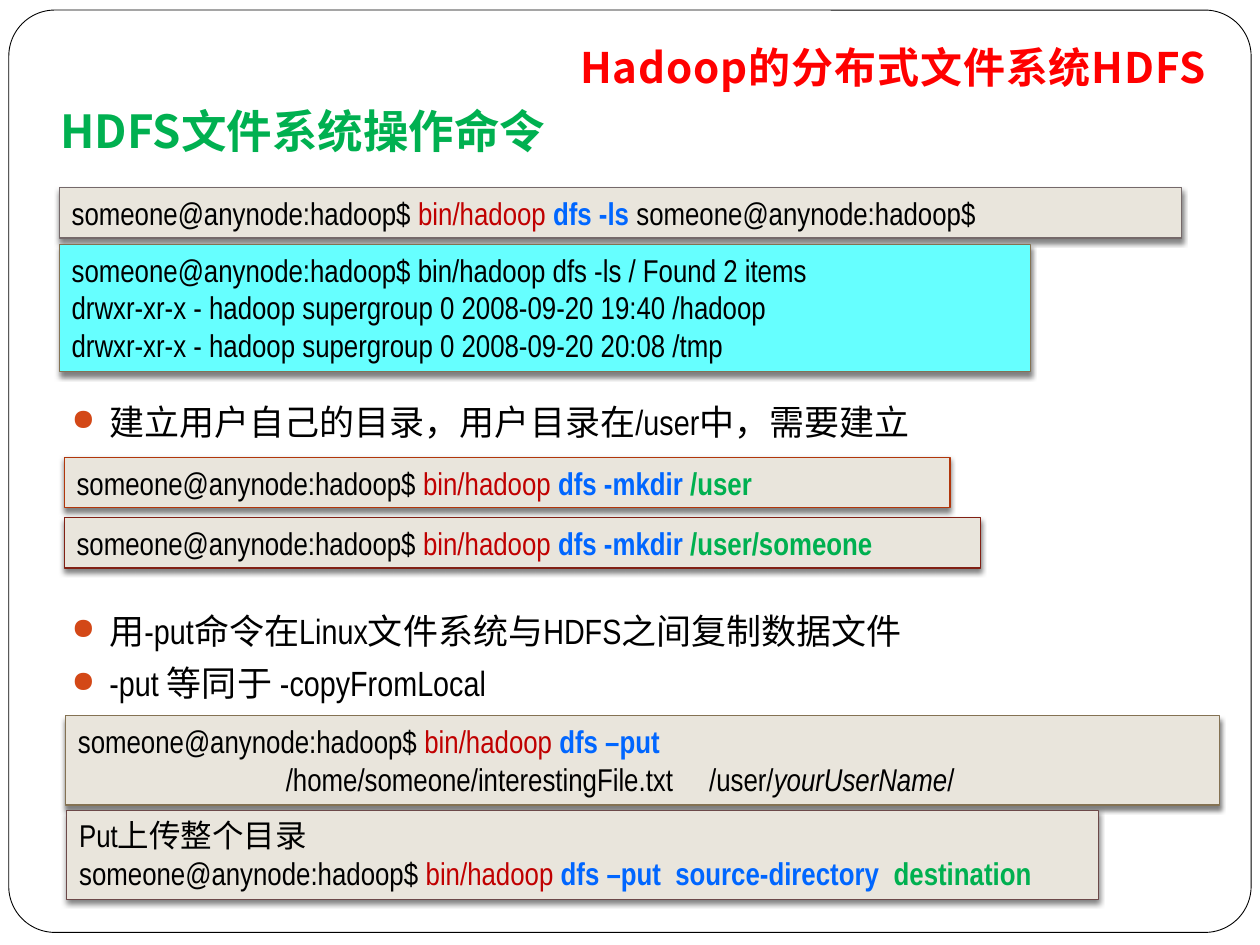
from lxml import etree
from pptx import Presentation
from pptx.dml.color import RGBColor as RGB
from pptx.enum.shapes import MSO_SHAPE as Shape
from pptx.enum.text import MSO_ANCHOR as Anchor, MSO_AUTO_SIZE as Auto, PP_ALIGN as Align
from pptx.oxml.ns import qn
from pptx.util import Inches, Pt

BLACK, WHITE = RGB(0, 0, 0), RGB(255, 255, 255)
RED, GREEN = RGB(0xFF, 0, 0), RGB(0, 0xB0, 0x50)
CRIMSON, BLUE = RGB(0xC0, 0, 0), RGB(0, 0x66, 0xFF)
SAND, CYAN = RGB(0xE9, 0xE5, 0xDC), RGB(0x66, 0xFF, 0xFF)
ORANGE = RGB(0xD3, 0x48, 0x17)
GRAY, OLIVE, PLUM = RGB(0x75, 0x69, 0x6A), RGB(0x84, 0x72, 0x53), RGB(0x6C, 0x49, 0x49)
RUST, MAROON = RGB(0xB1, 0x36, 0x0B), RGB(0x81, 0x20, 0x14)

NARROW, SANS = "Arial Narrow", "Noto Sans CJK SC"
PROMPT = "someone@anynode:hadoop$ "


def sub(node, tag, **attrs):
    child = etree.SubElement(node, qn(tag))
    for key, val in attrs.items():
        child.set(key, str(val))
    return child


def style(para, name, size, color, bold=False, spc=0):
    font = para.font
    font.name, font.size, font.bold = name, Pt(size), bold
    font.color.rgb = color
    props = para._p.get_or_add_pPr().find(qn("a:defRPr"))
    sub(props, "a:ea", typeface=SANS)
    if spc:
        props.set("spc", str(spc))


def write(para, runs):
    """Add runs given as (text, colour, bold, italic), all but text optional."""
    for text, *look in runs:
        run = para.add_run()
        run.text = text
        color, bold, slant = look + [None, False, False][len(look):]
        if color is not None:
            run.font.color.rgb = color
        if bold:
            run.font.bold = True
        if slant:
            run.font.italic = True


def next_para(frame, index):
    return frame.add_paragraph() if index else frame.paragraphs[0]


def add_text(slide, x, y, w, h):
    frame = slide.shapes.add_textbox(*map(Inches, (x, y, w, h))).text_frame
    frame.word_wrap = True
    return frame


def add_bullets(slide, y, h, lines):
    frame = add_text(slide, 0.47, y, 9, h)
    for i, line in enumerate(lines):
        para = next_para(frame, i)
        props = para._p.get_or_add_pPr()
        props.set("marL", str(Inches(0.3)))
        props.set("indent", str(-Inches(0.3)))
        sub(sub(props, "a:buClr"), "a:srgbClr", val=ORANGE)
        sub(props, "a:buSzPct", val=85000)
        sub(props, "a:buChar", char="●")
        if i:
            para.space_before = Pt(5.8)
        style(para, NARROW, 20, BLACK)
        write(para, [(line,)])


def add_shade(shape):
    effects = sub(shape._element.spPr, "a:effectLst")
    shade = sub(effects, "a:outerShdw", blurRad=Pt(3), dist=Pt(2),
                dir=90 * 60000, rotWithShape=0)
    sub(sub(shade, "a:srgbClr", val=BLACK), "a:alpha", val=50000)


def add_code(slide, at, edge, lines, fill=SAND, tabs=()):
    box = slide.shapes.add_shape(Shape.RECTANGLE, *map(Inches, at))
    box.fill.solid()
    box.fill.fore_color.rgb = fill
    box.line.color.rgb = edge
    box.line.width = Pt(0.75)
    add_shade(box)
    frame = box.text_frame
    frame.word_wrap = True
    frame.auto_size = Auto.SHAPE_TO_FIT_TEXT
    frame.vertical_anchor = Anchor.TOP
    for i, runs in enumerate(lines):
        para = next_para(frame, i)
        para.alignment = Align.LEFT
        if tabs:
            stops = sub(para._p.get_or_add_pPr(), "a:tabLst")
            for pos in tabs:
                sub(stops, "a:tab", pos=Inches(pos), algn="l")
        style(para, NARROW, 18, BLACK)
        write(para, runs)


def command(verb, *rest):
    return [(PROMPT,), ("bin/hadoop ", CRIMSON), (verb, BLUE, True), *rest]


def add_frame(slide):
    box = slide.shapes.add_shape(Shape.ROUNDED_RECTANGLE,
                                 *map(Inches, (0.07, 0.08, 9.86, 7.32)))
    box.adjustments[0] = 0.05
    box.shadow.inherit = False
    box.fill.solid()
    box.fill.fore_color.rgb = WHITE
    box.line.color.rgb = BLACK
    box.line.width = Pt(0.5)


def add_heads(slide):
    frame = add_text(slide, 1.17, 0.3, 8.5, 0.53)
    frame.vertical_anchor = Anchor.BOTTOM
    frame.margin_bottom = Inches(0.1)
    para = frame.paragraphs[0]
    para.alignment = Align.RIGHT
    style(para, SANS, 24, RED, bold=True, spc=50)
    write(para, [("Hadoop的分布式文件系统HDFS",)])

    para = add_text(slide, 0.38, 0.77, 9.32, 0.6).paragraphs[0]
    style(para, SANS, 26, GREEN, bold=True)
    write(para, [("HDFS文件系统操作命令",)])


def main():
    deck = Presentation()
    deck.slide_width, deck.slide_height = Inches(10), Inches(7.5)
    slide = deck.slides.add_slide(deck.slide_layouts[6])

    # Border and headings
    add_frame(slide)
    add_heads(slide)

    # Bullets
    add_bullets(slide, 3.13, 0.45, ["建立用户自己的目录，用户目录在/user中，需要建立"])
    add_bullets(slide, 4.79, 0.85, ["用-put命令在Linux文件系统与HDFS之间复制数据文件",
                                    "-put 等同于 -copyFromLocal"])

    # Listing files
    add_code(slide, (0.47, 1.49, 8.91, 0.4), GRAY,
             [command("dfs -ls ", (PROMPT.strip(),))])
    add_code(slide, (0.47, 1.94, 7.71, 1.01), OLIVE, [
        [(PROMPT + "bin/hadoop dfs -ls / Found 2 items",)],
        [("drwxr-xr-x - hadoop supergroup 0 2008-09-20 19:40 /hadoop",)],
        [("drwxr-xr-x - hadoop supergroup 0 2008-09-20 20:08 /tmp",)],
    ], fill=CYAN)

    # Making directories
    for y, w, edge, target in ((3.63, 7.03, RUST, "/user"),
                               (4.11, 7.27, MAROON, "/user/someone")):
        add_code(slide, (0.51, y, w, 0.4), edge,
                 [command("dfs -mkdir ", (target, GREEN, True))])

    # Putting files
    add_code(slide, (0.52, 5.68, 9.16, 0.71), OLIVE, [
        command("dfs –put"),
        [("\t/home/someone/interestingFile.txt\t/user/",),
         ("yourUserName", None, False, True), ("/",)],
    ], tabs=(1.65, 5.01))
    add_code(slide, (0.53, 6.43, 8.19, 0.71), PLUM, [
        [("Put上传整个目录",)],
        command("dfs –put  source-directory  ", ("destination", GREEN, True)),
    ])

    deck.save("out.pptx")


if __name__ == "__main__":
    main()
